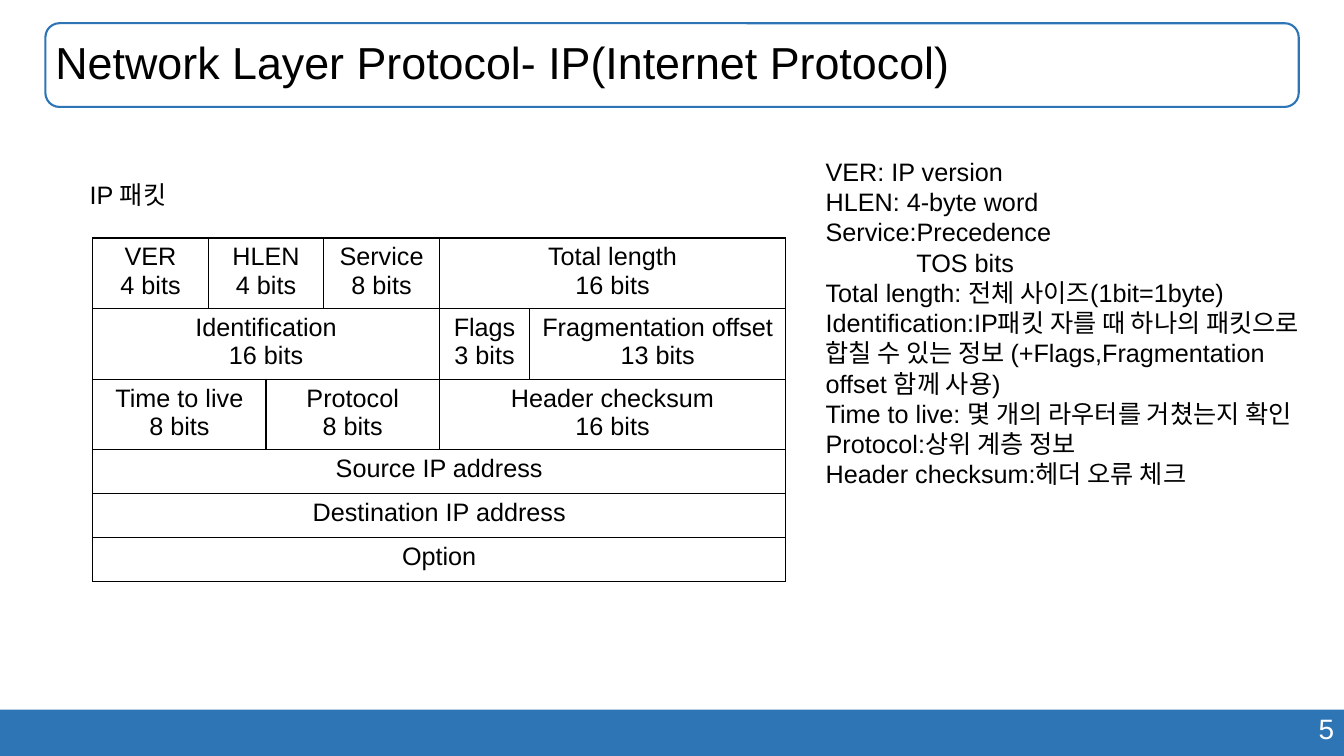
from dataclasses import dataclass

from lxml import etree
from pptx import Presentation
from pptx.dml.color import RGBColor
from pptx.enum.shapes import MSO_SHAPE
from pptx.enum.text import MSO_ANCHOR, PP_ALIGN
from pptx.oxml.ns import qn
from pptx.util import Inches, Pt

RECTANGLE, ROUNDED = MSO_SHAPE.RECTANGLE, MSO_SHAPE.ROUNDED_RECTANGLE
LEFT, CENTER, RIGHT = PP_ALIGN.LEFT, PP_ALIGN.CENTER, PP_ALIGN.RIGHT
TOP, MIDDLE = MSO_ANCHOR.TOP, MSO_ANCHOR.MIDDLE


@dataclass(frozen=True)
class Theme:
    font: str = "Arial"
    text: str = "000000"
    accent: str = "2E75B6"
    light: str = "FFFFFF"
    title_size: int = 32
    number_size: int = 20
    body_size: int = 18
    frame_width: float = 1.5
    border_width: int = 1


HEADER_COLUMNS = [8.6, 4.3, 4.3, 8.6, 6.73, 19.04]
TALL_ROW, SHORT_ROW = 8.8, 5.83

# Each field is its lines of text and the number of columns it spans.
HEADER_FIELDS = [
    [(["VER", "4 bits"], 1), (["HLEN", "4 bits"], 2),
     (["Service", "8 bits"], 1), (["Total length", "16 bits"], 2)],
    [(["Identification", "16 bits"], 4), (["Flags", "3 bits"], 1),
     (["Fragmentation offset", "13 bits"], 1)],
    [(["Time to live", "8 bits"], 2), (["Protocol", "8 bits"], 2),
     (["Header checksum", "16 bits"], 2)],
    [(["Source IP address"], 6)],
    [(["Destination IP address"], 6)],
    [(["Option"], 6)],
]

TOS_LINE = "TOS bits"
FIELD_NOTES = [
    "VER: IP version",
    "HLEN: 4-byte word",
    "Service:Precedence",
    TOS_LINE,
    "Total length: 전체 사이즈(1bit=1byte)",
    "Identification:IP패킷 자를 때 하나의 패킷으로 합칠 수 있는 정보 "
    "(+Flags,Fragmentation offset 함께 사용)",
    "Time to live: 몇 개의 라우터를 거쳤는지 확인",
    "Protocol:상위 계층 정보",
    "Header checksum:헤더 오류 체크",
]


def write(frame, lines, font, size, color, align=LEFT, spacing=None, indents=None):
    """Fill a text frame, one paragraph a line; indents maps a line to inches."""
    for index, line in enumerate(lines):
        paragraph = frame.add_paragraph() if index else frame.paragraphs[0]
        paragraph.alignment = align
        if spacing:
            paragraph.line_spacing = spacing
        if indents and line in indents:
            properties = paragraph._p.get_or_add_pPr()
            properties.set("marL", str(Inches(indents[line])))
        run = paragraph.add_run()
        run.text = line
        run.font.name = font
        run.font.size = Pt(size)
        run.font.color.rgb = RGBColor.from_string(color)


class SlideBuilder:
    """Draws on one slide; every length is a percentage of the slide's size."""

    def __init__(self, presentation, theme):
        self.theme = theme
        self.width = presentation.slide_width
        self.height = presentation.slide_height
        self.slide = presentation.slides.add_slide(presentation.slide_layouts[6])

    def across(self, share):
        return round(self.width * share / 100)

    def down(self, share):
        return round(self.height * share / 100)

    def area(self, left, top, width, height):
        return self.across(left), self.down(top), self.across(width), self.down(height)

    def shape(self, kind, area, fill=None, line=None):
        shape = self.slide.shapes.add_shape(kind, *self.area(*area))
        shape.shadow.inherit = False
        if fill:
            shape.fill.solid()
            shape.fill.fore_color.rgb = RGBColor.from_string(fill)
        else:
            shape.fill.background()
        if line:
            shape.line.color.rgb = RGBColor.from_string(line)
            shape.line.width = Pt(self.theme.frame_width)
        else:
            shape.line.fill.background()

    def text(self, area, lines, size=None, color=None, anchor=TOP, **style):
        frame = self.slide.shapes.add_textbox(*self.area(*area)).text_frame
        frame.word_wrap = True
        frame.vertical_anchor = anchor
        write(frame, lines, self.theme.font, size or self.theme.body_size,
              color or self.theme.text, **style)

    def border(self, cell):
        properties = cell._tc.get_or_add_tcPr()
        for side in ("a:lnL", "a:lnR", "a:lnT", "a:lnB"):
            line = etree.SubElement(properties, qn(side),
                                    w=str(Pt(self.theme.border_width)))
            fill = etree.SubElement(line, qn("a:solidFill"))
            etree.SubElement(fill, qn("a:srgbClr"), val=self.theme.text)

    def table(self, left, top, columns, rows, fields):
        area = self.area(left, top, sum(columns), sum(rows))
        table = self.slide.shapes.add_table(len(rows), len(columns), *area).table
        table.first_row = table.horz_banding = False
        for column, share in zip(table.columns, columns):
            column.width = self.across(share)
        for row, share in zip(table.rows, rows):
            row.height = self.down(share)
        for cell in table.iter_cells():
            self.border(cell)
            cell.fill.background()
        for row_index, row_fields in enumerate(fields):
            start = 0
            for lines, span in row_fields:
                cell = table.cell(row_index, start)
                if span > 1:
                    cell.merge(table.cell(row_index, start + span - 1))
                write(cell.text_frame, lines, self.theme.font,
                      self.theme.body_size, self.theme.text, align=CENTER)
                start += span


def main():
    presentation = Presentation()
    presentation.slide_width = Inches(13.33)
    presentation.slide_height = Inches(7.5)
    theme = Theme()
    builder = SlideBuilder(presentation, theme)

    builder.shape(RECTANGLE, (0, 93.87, 100, 6.13), fill=theme.accent)
    builder.text((70.74, 93.47, 29.26, 5.87), ["5"], size=theme.number_size,
                 color=theme.light, align=RIGHT)

    title_area = (3.38, 3.07, 93.25, 11.07)
    builder.shape(ROUNDED, title_area, line=theme.accent)
    builder.text(title_area, ["Network Layer Protocol- IP(Internet Protocol)"],
                 size=theme.title_size, anchor=MIDDLE, spacing=0.9)

    builder.table(6.9, 31.47, HEADER_COLUMNS, [TALL_ROW] * 3 + [SHORT_ROW] * 3,
                  HEADER_FIELDS)
    builder.text((60.69, 20, 36.91, 59.47), FIELD_NOTES, indents={TOS_LINE: 0.9})
    builder.text((5.93, 23.07, 31.36, 5.33), ["IP 패킷"])

    presentation.save("out.pptx")


if __name__ == "__main__":
    main()
